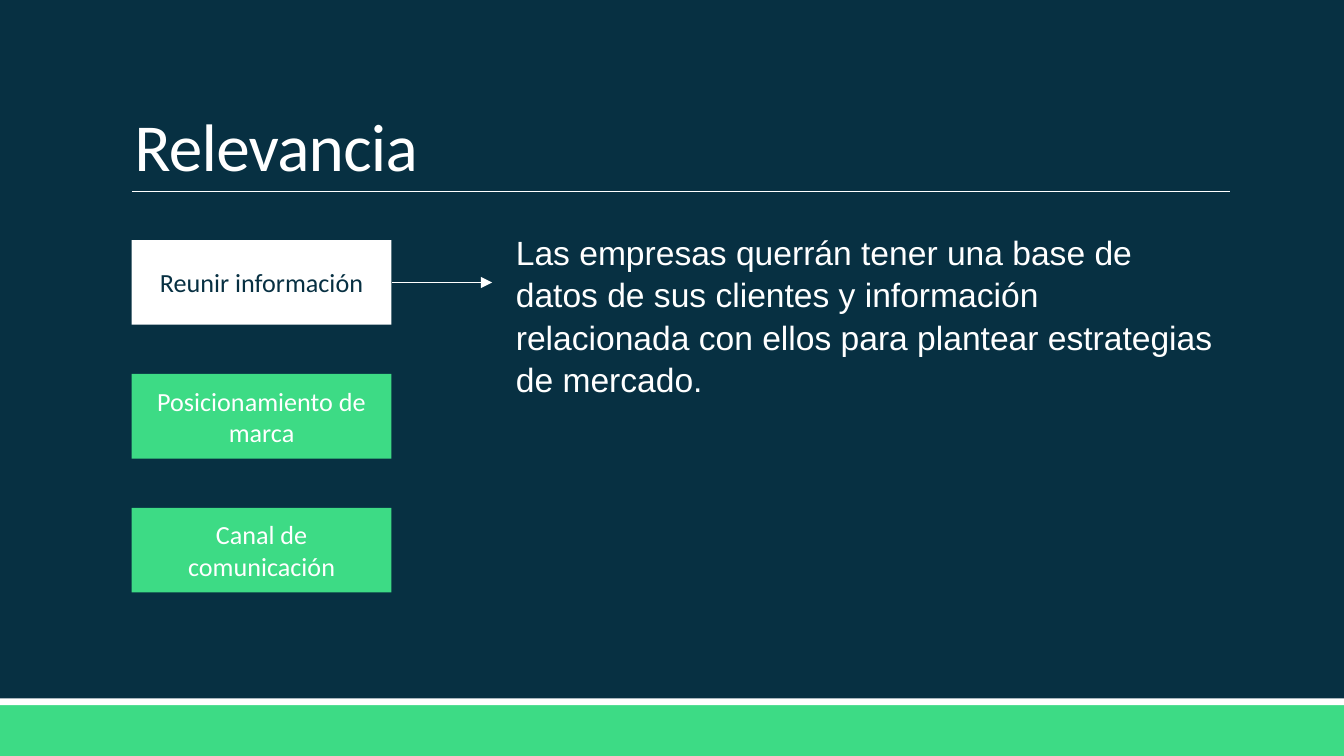
"""Build the "Relevancia" slide: three topics, the first one explained."""
from lxml import etree
from pptx import Presentation
from pptx import util as u
from pptx.dml.color import RGBColor
from pptx.enum import shapes, text
from pptx.oxml.ns import qn

COLORS = {"navy": "073042", "green": "3DDB85", "white": "FFFFFF"}
TITLE = "Relevancia"
TOPICS = [
    ("Reunir información", "white", "navy"),
    ("Posicionamiento de marca", "green", "white"),
    ("Canal de comunicación", "green", "white"),
]
EXPLANATION = (
    "Las empresas querrán tener una base de datos de sus clientes y información "
    "relacionada con ellos para plantear estrategias de mercado."
)
WIDTH, HEIGHT = 25.4, 14.29
LEFT, RIGHT = 2.49, 23.24
TOPIC_TOP, TOPIC_WIDTH, TOPIC_HEIGHT, TOPIC_STEP = 4.54, 4.91, 1.6, 2.53
GREEN_BAND, WHITE_BAND = 0.96, 0.13
RULE_Y, ARROW_END = 3.62, 9.3


def color(name):
    return RGBColor.from_string(COLORS[name])


def write(shape, content, *, size, ink="white", font="Calibri", align=text.PP_ALIGN.LEFT,
          anchor=text.MSO_ANCHOR.TOP, line_spacing=None, tracking=None):
    frame = shape.text_frame
    frame.word_wrap = True
    frame.vertical_anchor = anchor
    paragraph = frame.paragraphs[0]
    paragraph.alignment = align
    paragraph.line_spacing = line_spacing
    run = paragraph.add_run()
    run.text = content
    run.font.size = u.Pt(size)
    run.font.name = font
    run.font.color.rgb = color(ink)
    if tracking is not None:
        run.font._element.set("spc", str(round(tracking * 100)))


def add_box(slide, left, top, width, height, fill):
    shape = slide.shapes.add_shape(
        shapes.MSO_SHAPE.RECTANGLE, u.Cm(left), u.Cm(top), u.Cm(width), u.Cm(height))
    shape.shadow.inherit = False
    shape.fill.solid()
    shape.fill.fore_color.rgb = color(fill)
    shape.line.fill.background()
    return shape


def add_line(slide, start, end, y, weight, arrow=False):
    connector = slide.shapes.add_connector(
        shapes.MSO_CONNECTOR.STRAIGHT, u.Cm(start), u.Cm(y), u.Cm(end), u.Cm(y))
    connector.line.color.rgb = color("white")
    connector.line.width = u.Pt(weight)
    if arrow:
        etree.SubElement(connector.line._get_or_add_ln(), qn("a:tailEnd"), type="triangle")
    etree.SubElement(connector._element.spPr, qn("a:effectLst"))
    return connector


def main():
    presentation = Presentation()
    presentation.slide_width, presentation.slide_height = u.Cm(WIDTH), u.Cm(HEIGHT)
    slide = presentation.slides.add_slide(presentation.slide_layouts[6])
    slide.background.fill.solid()
    slide.background.fill.fore_color.rgb = color("navy")

    band_top = HEIGHT - GREEN_BAND
    add_box(slide, 0, band_top, WIDTH, GREEN_BAND, "green")
    add_box(slide, 0, band_top - WHITE_BAND, WIDTH, WHITE_BAND, "white")
    add_line(slide, LEFT, RIGHT, RULE_Y, 0.5)

    title = slide.shapes.add_textbox(u.Cm(2.29), u.Cm(0.6), u.Cm(20.95), u.Cm(3.02))
    write(title, TITLE, size=36, anchor=text.MSO_ANCHOR.BOTTOM,
          line_spacing=0.85, tracking=-0.4)

    boxes = []
    for index, (topic, fill, ink) in enumerate(TOPICS):
        box = add_box(slide, LEFT, TOPIC_TOP + index * TOPIC_STEP,
                      TOPIC_WIDTH, TOPIC_HEIGHT, fill)
        write(box, topic, size=14, ink=ink, align=text.PP_ALIGN.CENTER,
              anchor=text.MSO_ANCHOR.MIDDLE)
        boxes.append(box)

    explanation = slide.shapes.add_textbox(u.Cm(9.5), u.Cm(4.22), u.Cm(13.74), u.Cm(3.33))
    write(explanation, EXPLANATION, size=18, font="Arial", line_spacing=1.05)

    arrow = add_line(slide, LEFT + TOPIC_WIDTH, ARROW_END,
                     TOPIC_TOP + TOPIC_HEIGHT / 2, 1, arrow=True)
    arrow.begin_connect(boxes[0], 3)

    presentation.save("out.pptx")


if __name__ == "__main__":
    main()
